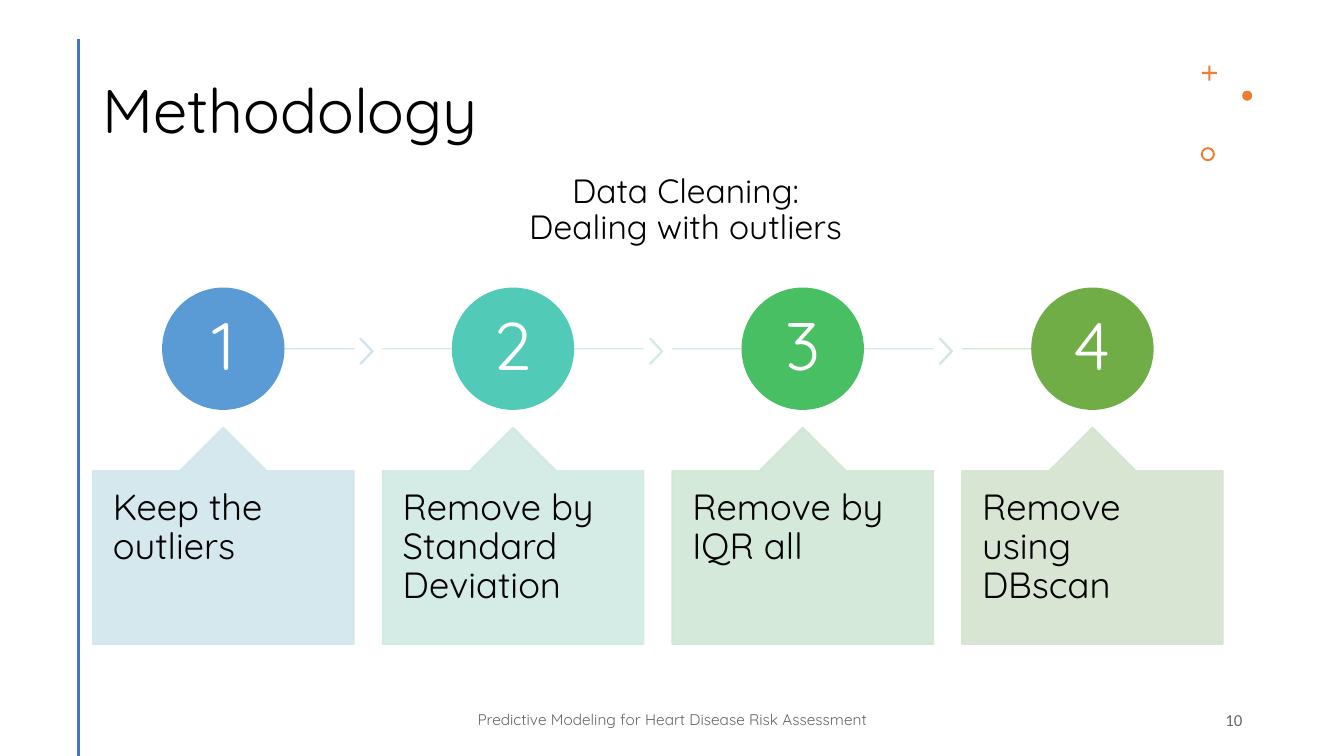
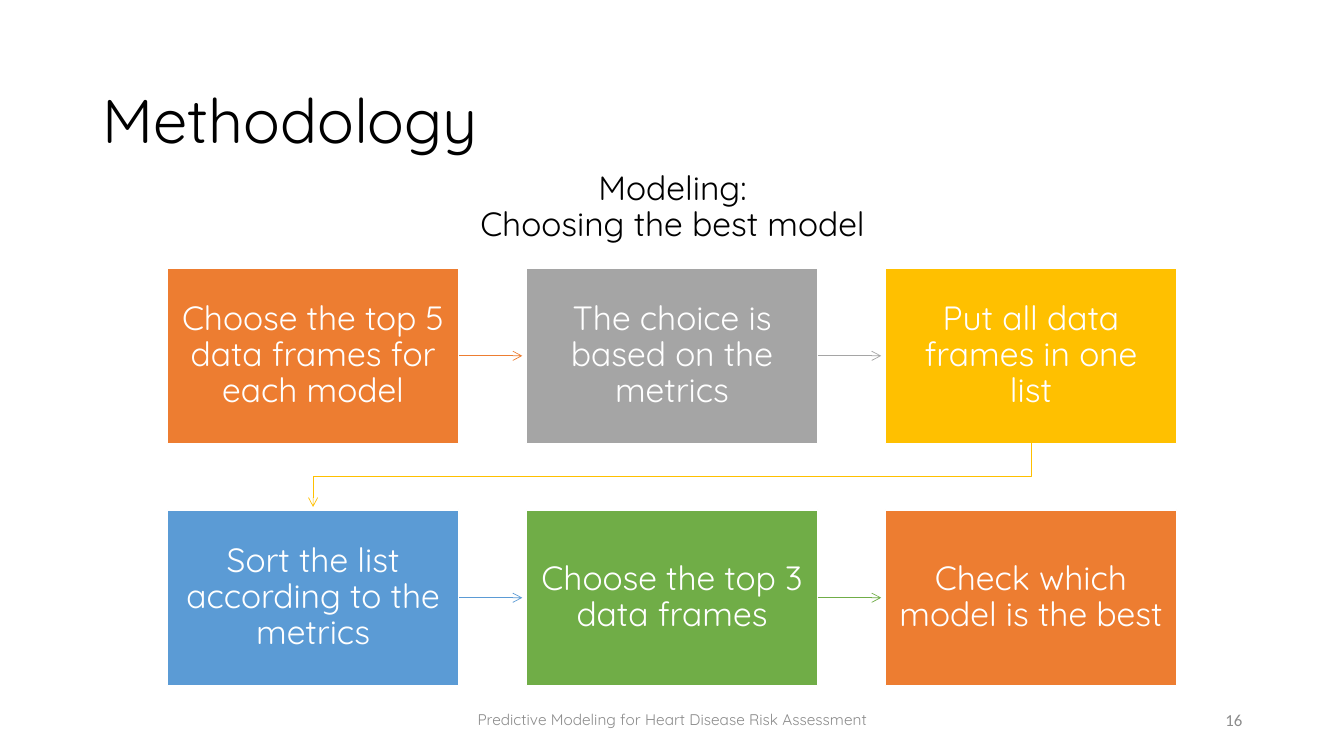
from lxml import etree
from pptx import Presentation, util as u
from pptx.dml.color import RGBColor
from pptx.enum import shapes, text
from pptx.oxml.ns import qn

Inches, Pt = u.Inches, u.Pt
Kind, Align, Anchor = shapes.MSO_SHAPE, text.PP_ALIGN, text.MSO_ANCHOR

HUE = {
    "ink": "000000", "white": "FFFFFF", "bar": "4472C4",
    "orange": "ED7D31", "gray": "A5A5A5", "gold": "FFC000",
    "blue": "5B9BD5", "teal": "52CAB8", "mint": "49BF64", "green": "70AD47",
    "dark": "666666", "pale": "8C8C8C",
}
FONT = "Quicksand"
TITLE = "Methodology"
FOOTER = "Predictive Modeling for Heart Disease Risk Assessment"

# label, circle, rail, chevron, card
STEPS = [
    ("Keep the outliers", "blue", "D2DEEF", "D1E2EE", "D1E6ED"),
    ("Remove by Standard Deviation", "teal", "D1EAEC", "D0EBE9", "D0EAE3"),
    ("Remove by IQR all", "mint", "D0E9DE", "D0E8D9", "D0E7D5"),
    ("Remove using DBscan", "green", "CFE5D1", None, "D5E3CF"),
]
FLOW = [
    ("Choose the top 5 data frames for each model", "orange"),
    ("The choice is based on the metrics", "gray"),
    ("Put all data frames in one list", "gold"),
    ("Sort the list according to the metrics", "blue"),
    ("Choose the top 3 data frames", "green"),
    ("Check which model is the best", "orange"),
]


def rgb(hue):
    return RGBColor.from_string(HUE.get(hue, hue))


def fade(part, pct=90):
    """Make every solid colour of a shape or connector partly transparent."""
    for color in part._element.spPr.iter(qn("a:srgbClr")):
        etree.SubElement(color, qn("a:alpha")).set("val", str(pct * 1000))


def write(shape, lines, size, hue="ink", align=Align.LEFT, anchor=Anchor.MIDDLE,
          pad=(0.1, 0.05), font=FONT):
    frame = shape.text_frame
    frame.word_wrap = True
    frame.vertical_anchor = anchor
    frame.margin_left = frame.margin_right = Inches(pad[0])
    frame.margin_top = frame.margin_bottom = Inches(pad[1])
    for i, line in enumerate(lines):
        para = frame.add_paragraph() if i else frame.paragraphs[0]
        para.alignment, para.line_spacing = align, 0.9
        run = para.add_run()
        run.text = line
        run.font.name, run.font.size = font, Pt(size)
        run.font.color.rgb = rgb(hue)


def label(slide, box, lines, size, **style):
    write(slide.shapes.add_textbox(*map(Inches, box)), lines, size, **style)


def solid(slide, kind, box, hue, edge=None, adj=()):
    shape = slide.shapes.add_shape(kind, *map(Inches, box))
    shape.shadow.inherit = False
    shape.fill.solid()
    shape.fill.fore_color.rgb = rgb(hue)
    if edge:
        shape.line.color.rgb = rgb(edge)
        shape.line.width = Pt(1)
    else:
        shape.line.fill.background()
    for i, value in enumerate(adj):
        shape.adjustments[i] = value
    return shape


def line(slide, start, end, hue, width):
    link = slide.shapes.add_connector(
        shapes.MSO_CONNECTOR.STRAIGHT, *map(Inches, start + end))
    link.line.color.rgb = rgb(hue)
    link.line.width = Pt(width)
    etree.SubElement(link._element.spPr, qn("a:effectLst"))
    return link


def point(part):
    """Put an open arrowhead at the end of a line."""
    etree.SubElement(part.line._get_or_add_ln(), qn("a:tailEnd")).set("type", "arrow")


def base(deck, title, head, head_box, number, tone):
    slide = deck.slides.add_slide(deck.slide_layouts[6])
    label(slide, title, [TITLE], 44)
    label(slide, head_box, head, 24, align=Align.CENTER)
    label(slide, (4.42, 6.95, 4.5, 0.4), [FOOTER], 11, hue=tone, align=Align.CENTER)
    label(slide, (9.42, 6.95, 3, 0.4), [number], 12, hue=tone,
          align=Align.RIGHT, font="Calibri")
    return slide


def steps(deck):
    slide = base(deck, (0.92, 0.4, 10.76, 1.45),
                 ["Data Cleaning:", "Dealing with outliers"],
                 (1.05, 1.47, 11.5, 1.24), "10", "dark")
    line(slide, (0.78, 0.39), (0.78, 7.5), "bar", 2)
    solid(slide, Kind.CROSS, (11.92, 0.65, 0.15, 0.15), "orange", adj=[0.43])
    solid(slide, Kind.OVAL, (12.32, 0.9, 0.1, 0.1), "orange")
    solid(slide, Kind.DONUT, (11.91, 1.46, 0.14, 0.14), "orange", adj=[0.14])

    left, wide, disc, mid = 0.92, 2.59, 1.2, 3.46
    pitch = (9.54 - left) / 3
    last = len(STEPS) - 1
    for i, (name, hue, rail, tip, card) in enumerate(STEPS):
        x = left + i * pitch
        hub = x + wide / 2
        fade(line(slide, (x if i else hub, mid),
                  (x + wide if i < last else hub, mid), rail, 1))
        if tip:
            fade(solid(slide, Kind.CHEVRON, (x + 2.65, mid - 0.1, 0.13, 0.25),
                       tip, tip, [0.9]))
        ball = solid(slide, Kind.OVAL, (hub - disc / 2, mid - disc / 2, disc, disc),
                     hue, hue)
        write(ball, [str(i + 1)], 48, "white", Align.CENTER, pad=(0, 0))
        note = solid(slide, Kind.UP_ARROW_CALLOUT, (x, 4.24, wide, 2.15),
                     card, card, [0.5, 0.2, 0.2, 0.8])
        fade(note)
        write(note, [name], 26, anchor=Anchor.TOP, pad=(0.2, 0.18))


def flow(deck):
    slide = base(deck, (0.92, 0.61, 11.5, 1.24),
                 ["Modeling:", "Choosing the best model"],
                 (0.92, 1.44, 11.5, 1.24), "16", "pale")
    left, top, wide, high, cols = 1.66, 2.66, 2.89, 1.74, 3
    across, down, reach = 3.56, 2.4, 0.63
    for i, (name, hue) in enumerate(FLOW):
        row, col = divmod(i, cols)
        x, y = left + col * across, top + row * down
        box = solid(slide, Kind.RECTANGLE, (x, y, wide, high), hue, "white")
        write(box, [name], 24, "white", Align.CENTER, pad=(0.14, 0.15))
        if i == len(FLOW) - 1:
            continue
        if col < cols - 1:
            mid = y + high / 2
            link = line(slide, (x + wide, mid), (x + wide + reach, mid), hue, 0.5)
            link.begin_connect(box, 3)
        else:
            begin, end, foot = x + wide / 2, left + wide / 2, y + high
            pen = slide.shapes.build_freeform(Inches(begin), Inches(foot))
            turns = [(begin, foot + 0.33), (end, foot + 0.33), (end, foot + reach)]
            pen.add_line_segments([(Inches(a), Inches(b)) for a, b in turns],
                                  close=False)
            link = pen.convert_to_shape()
            link.shadow.inherit = False
            link.fill.background()
            link.line.color.rgb = rgb(hue)
            link.line.width = Pt(0.5)
        point(link)


def main():
    deck = Presentation()
    deck.slide_width, deck.slide_height = Inches(13.33), Inches(7.5)
    steps(deck)
    flow(deck)
    deck.save("out.pptx")


if __name__ == "__main__":
    main()
